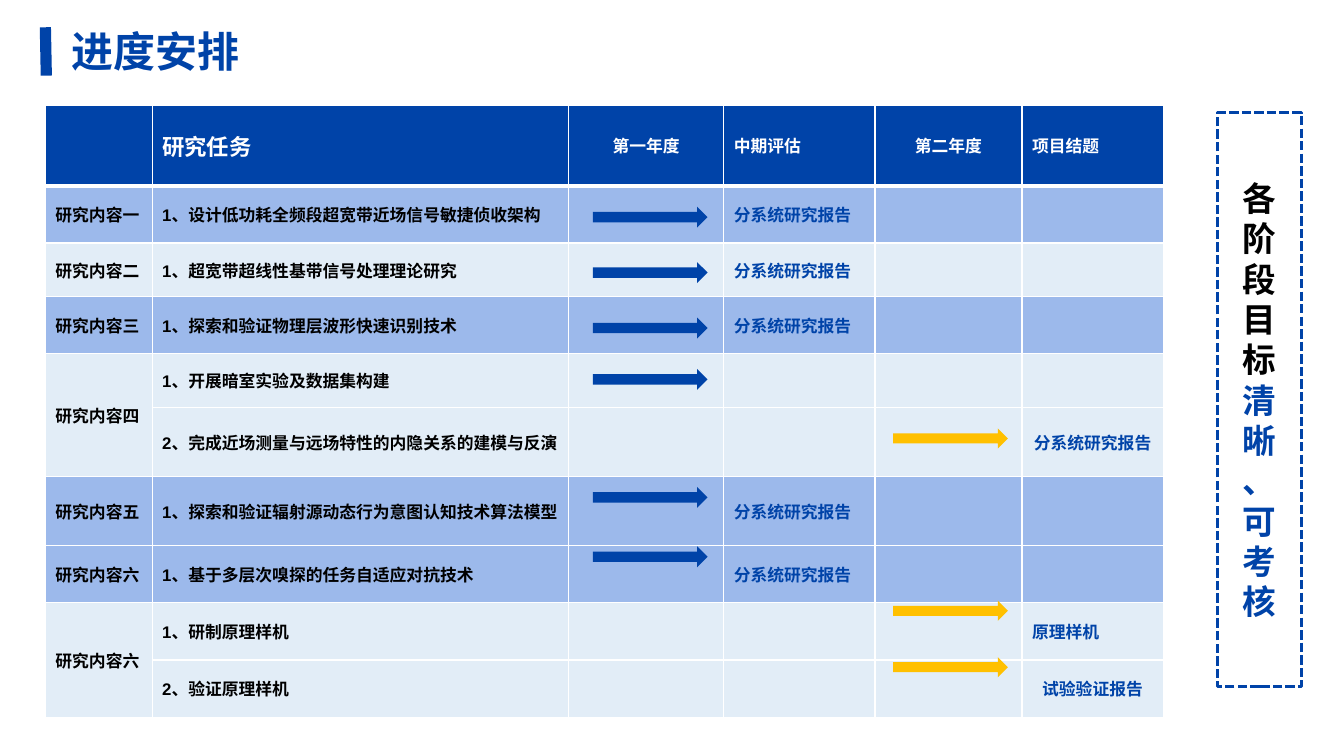
from itertools import accumulate

from lxml import etree
from pptx import Presentation
from pptx import util as u
from pptx.dml import color
from pptx.enum import dml, shapes, text
from pptx.oxml import ns

BLUE, GOLD, WHITE, BLACK = "0043A8", "FFC000", "FFFFFF", "000000"
DARK_ROW, PALE_ROW = "9CB9EB", "E2EDF7"
HEADING_FONT, TABLE_FONT, GOAL_FONT = "Noto Sans CJK SC", "Arial", "Lato"
LEFT, CENTER = text.PP_ALIGN.LEFT, text.PP_ALIGN.CENTER
REPORT = "分系统研究报告"

COLUMN_WIDTHS = [76.3, 297.4, 110.9, 108, 105.1, 100.8]
ROW_HEIGHTS = [57.6, 41, 38.2, 41, 38.2, 41, 41, 41, 41, 41]
HEADERS = ["", "研究任务", "第一年度", "中期评估", "第二年度", "项目结题"]
TASKS = [
    (DARK_ROW, "研究内容一", "1、设计低功耗全频段超宽带近场信号敏捷侦收架构", REPORT, ""),
    (PALE_ROW, "研究内容二", "1、超宽带超线性基带信号处理理论研究", REPORT, ""),
    (DARK_ROW, "研究内容三", "1、探索和验证物理层波形快速识别技术", REPORT, ""),
    (PALE_ROW, "研究内容四", "1、开展暗室实验及数据集构建", "", ""),
    (PALE_ROW, "", "2、完成近场测量与远场特性的内隐关系的建模与反演", "", REPORT),
    (DARK_ROW, "研究内容五", "1、探索和验证辐射源动态行为意图认知技术算法模型", REPORT, ""),
    (DARK_ROW, "研究内容六", "1、基于多层次嗅探的任务自适应对抗技术", REPORT, ""),
    (PALE_ROW, "研究内容六", "1、研制原理样机", "", "原理样机"),
    (PALE_ROW, "", "2、验证原理样机", "", "试验验证报告"),
]
MERGED_ROWS = [(4, 5), (8, 9)]
CENTERED_CELLS = [(0, 2), (0, 4), (5, 5), (9, 5)]
YEAR_ARROWS = [
    (2, 17.3, BLUE, 15, [72.6, 112.2, 151.8, 188.5, 272.8, 315.2]),
    (4, 12.9, GOLD, 14.4, [231, 354.1, 394.4]),
]


def rgb(value):
    return color.RGBColor.from_string(value)


def write(para, words, size=12, ink=BLACK, font=TABLE_FONT, asian=HEADING_FONT, align=LEFT):
    para.alignment = align
    span = para.add_run()
    span.text = words
    span.font.size = u.Pt(size)
    span.font.bold = True
    span.font.color.rgb = rgb(ink)
    span.font.name = font
    etree.SubElement(span.font._element, ns.qn("a:ea"), typeface=asian)


def set_margins(holder, size):
    holder.margin_left = holder.margin_right = u.Pt(size)
    holder.margin_top = holder.margin_bottom = u.Pt(size)


def draw_borders(cell, bottom_width):
    properties = cell._tc.get_or_add_tcPr()
    for side, width in [("L", 1), ("R", 1), ("T", 1), ("B", bottom_width)]:
        border = etree.SubElement(properties, ns.qn(f"a:ln{side}"), w=str(u.Pt(width)))
        fill = etree.SubElement(border, ns.qn("a:solidFill"))
        etree.SubElement(fill, ns.qn("a:srgbClr"), val=WHITE)


def add_heading(page, left, top, width, height):
    title = page.shapes.title
    title.left, title.top = u.Pt(left + 18.7), u.Pt(top)
    title.width, title.height = u.Pt(width - 18.7), u.Pt(height)
    frame = title.text_frame
    frame.word_wrap = True
    frame.vertical_anchor = text.MSO_ANCHOR.MIDDLE
    set_margins(frame, 0)
    write(frame.paragraphs[0], "进度安排", size=30, ink=BLUE, font=HEADING_FONT)
    bar = page.shapes.add_connector(
        shapes.MSO_CONNECTOR.STRAIGHT,
        u.Pt(left), u.Pt(top + 13), u.Pt(left + 0.7), u.Pt(top + 47.5),
    )
    bar.line.color.rgb = rgb(BLUE)
    bar.line.width = u.Pt(8)
    etree.SubElement(bar._element.spPr, ns.qn("a:effectLst"))


def add_schedule(page, left, top):
    rows = [(BLUE, *HEADERS)]
    rows += [(fill, name, task, "", middle, "", final) for fill, name, task, middle, final in TASKS]
    table = page.shapes.add_table(
        len(rows), len(COLUMN_WIDTHS),
        u.Pt(left), u.Pt(top), u.Pt(sum(COLUMN_WIDTHS)), u.Pt(sum(ROW_HEIGHTS)),
    ).table
    for column, width in zip(table.columns, COLUMN_WIDTHS):
        column.width = u.Pt(width)
    for row, height in zip(table.rows, ROW_HEIGHTS):
        row.height = u.Pt(height)
    for row_index, (fill, *entries) in enumerate(rows):
        header = row_index == 0
        for column_index, words in enumerate(entries):
            cell = table.cell(row_index, column_index)
            draw_borders(cell, 3 if header else 1)
            cell.fill.solid()
            cell.fill.fore_color.rgb = rgb(fill)
            cell.vertical_anchor = text.MSO_ANCHOR.MIDDLE
            set_margins(cell, 7.2)
            if words:
                body_ink = BLACK if column_index < 2 else BLUE
                write(
                    cell.text_frame.paragraphs[0], words,
                    size=16 if header and column_index == 1 else 12,
                    ink=WHITE if header else body_ink,
                    align=CENTER if (row_index, column_index) in CENTERED_CELLS else LEFT,
                )
    for first, last in MERGED_ROWS:
        table.cell(first, 0).merge(table.cell(last, 0))


def add_year_arrows(page, left, top):
    column_lefts = list(accumulate(COLUMN_WIDTHS, initial=left))
    for column, indent, fill, height, offsets in YEAR_ARROWS:
        for offset in offsets:
            arrow = page.shapes.add_shape(
                shapes.MSO_SHAPE.RIGHT_ARROW,
                u.Pt(column_lefts[column] + indent), u.Pt(top + offset), u.Pt(82), u.Pt(height),
            )
            arrow.shadow.inherit = False
            arrow.fill.solid()
            arrow.fill.fore_color.rgb = rgb(fill)
            arrow.line.fill.background()


def add_goal_panel(page, left, top, width, height):
    panel = page.shapes.add_shape(
        shapes.MSO_SHAPE.RECTANGLE, u.Pt(left), u.Pt(top), u.Pt(width), u.Pt(height)
    )
    panel.shadow.inherit = False
    panel.fill.background()
    panel.line.color.rgb = rgb(BLUE)
    panel.line.width = u.Pt(2.25)
    panel.line.dash_style = dml.MSO_LINE.SQUARE_DOT
    frame = panel.text_frame
    frame.word_wrap = True
    frame.vertical_anchor = text.MSO_ANCHOR.MIDDLE
    goals = [(words, BLACK) for words in ("各", "阶段目", "标")]
    goals += [(words, BLUE) for words in "清晰、可考核"]
    for index, (words, ink) in enumerate(goals):
        para = frame.add_paragraph() if index else frame.paragraphs[0]
        write(para, words, size=24, ink=ink, font=GOAL_FONT, asian=GOAL_FONT, align=CENTER)


def main():
    deck = Presentation()
    deck.slide_width, deck.slide_height = u.Pt(960), u.Pt(540)
    page = deck.slides.add_slide(deck.slide_layouts[5])
    add_heading(page, 32.4, 6.5, 166.3, 59.8)
    add_schedule(page, 32.4, 75)
    add_year_arrows(page, 32.4, 75)
    add_goal_panel(page, 869.8, 80.6, 59.8, 409.7)
    deck.save("out.pptx")


if __name__ == "__main__":
    main()
